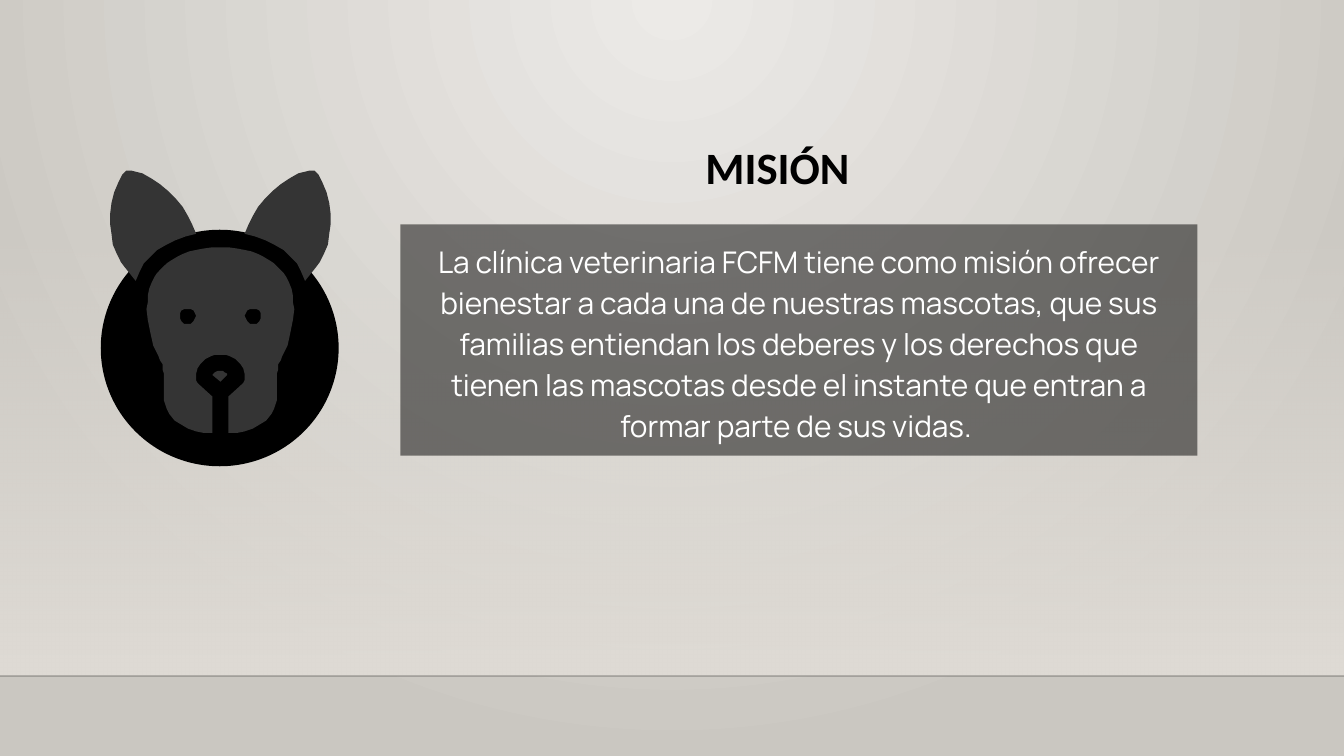
from lxml.etree import SubElement
from pptx import Presentation
from pptx.dml.color import RGBColor
from pptx.enum.shapes import MSO_CONNECTOR, MSO_SHAPE
from pptx.enum.text import MSO_ANCHOR, PP_ALIGN
from pptx.oxml import parse_xml
from pptx.oxml.ns import nsdecls, qn
from pptx.util import Inches, Pt

# Dog outlines in hundredths of an inch; right halves are mirrored
AXIS = 164
LEFT_EAR = [
    (96, 127), (94, 127), (93, 128), (91, 130), (88, 136), (85, 143), (83, 151),
    (82, 159), (82, 167), (83, 174), (84, 182), (87, 189), (90, 195), (93, 199),
    (97, 204), (101, 209), (104, 202), (107, 196), (112, 191), (117, 186),
    (124, 182), (130, 179), (138, 176), (146, 174), (143, 167), (140, 161),
    (136, 154), (131, 148), (125, 142), (119, 137), (113, 133), (106, 129), (98, 127)]
LEFT_EYE = [
    (139, 230), (142, 230), (144, 231), (145, 233), (146, 235), (145, 237),
    (144, 239), (142, 241), (139, 241), (137, 241), (135, 239), (134, 237),
    (134, 235), (134, 233), (135, 231), (137, 230)]
LEFT_FACE = [
    (158, 184), (151, 185), (146, 186), (141, 187), (136, 189), (132, 191),
    (127, 194), (124, 196), (121, 199), (117, 203), (115, 206), (113, 210),
    (111, 215), (110, 220), (110, 225), (109, 230), (110, 238), (112, 248),
    (114, 257), (118, 265), (119, 268), (121, 271), (121, 275), (122, 278),
    (122, 293), (122, 298), (124, 304), (126, 308), (130, 313), (135, 316),
    (140, 319), (146, 321), (151, 322), (158, 322), (158, 295), (147, 285),
    (146, 283), (146, 278), (147, 274), (149, 271), (151, 269), (153, 267),
    (157, 265), (160, 264), (164, 264)]
NOSE = [(162, 276), (160, 277), (159, 278), (158, 279), (164, 284),
        (169, 279), (169, 278), (167, 277), (166, 276)]


def color(hex_string):
    return RGBColor.from_string(hex_string)


def mirror(points):
    return [(2 * AXIS - x, y) for x, y in reversed(points)]


def set_alpha(fill, percent):
    """Give the solid colour of a fill an opacity."""
    solid_color = fill._xPr.find(qn("a:solidFill"))[0]
    SubElement(solid_color, qn("a:alpha")).set("val", str(percent * 1000))


def write_text(shape, text, size, font, hex_color, bold=False, spacing=1.0,
               anchor=MSO_ANCHOR.TOP):
    frame = shape.text_frame
    frame.word_wrap = True
    frame.vertical_anchor = anchor
    frame.margin_left = frame.margin_right = Inches(0.1)
    frame.margin_top = frame.margin_bottom = Inches(0.1)
    paragraph = frame.paragraphs[0]
    paragraph.alignment = PP_ALIGN.CENTER
    paragraph.line_spacing = spacing
    run = paragraph.add_run()
    run.text = text
    run.font.size = Pt(size)
    run.font.name = font
    run.font.bold = bold
    run.font.color.rgb = color(hex_color)


class SlideBuilder:
    black = "000000"
    dark = "343434"
    white = "FFFFFF"
    sand = "DFDBD5"

    def __init__(self, slide):
        self.slide = slide

    def background(self, inner, outer):
        fill = self.slide.background.fill
        fill.gradient()
        for stop, hex_color in zip(fill.gradient_stops, (inner, outer)):
            stop.color.rgb = color(hex_color)
        gradient = fill._xPr.find(qn("a:gradFill"))
        gradient.remove(gradient.find(qn("a:lin")))
        gradient.find(qn("a:gsLst")).addnext(parse_xml(
            f'<a:path {nsdecls("a")} path="circle">'
            '<a:fillToRect l="43000" r="43000" b="100000"/></a:path>'))

    def shape(self, kind, left, top, width, height, fill, opacity=100):
        shape = self.slide.shapes.add_shape(
            kind, Inches(left), Inches(top), Inches(width), Inches(height))
        return self.paint(shape, fill, opacity)

    def paint(self, shape, fill, opacity=100):
        shape.shadow.inherit = False
        shape.line.fill.background()
        shape.fill.solid()
        shape.fill.fore_color.rgb = color(fill)
        if opacity < 100:
            set_alpha(shape.fill, opacity)
        return shape

    def fading_band(self, left, top, width, height):
        """A band that is clear at the top and solid at the bottom."""
        band = self.shape(MSO_SHAPE.RECTANGLE, left, top, width, height, self.sand)
        band.fill.gradient()
        band.fill.gradient_angle = 270
        stops = band.fill.gradient_stops
        for stop in stops:
            stop.color.rgb = color(self.sand)
        clear_color = stops[0]._gs.find(qn("a:srgbClr"))
        SubElement(clear_color, qn("a:alpha")).set("val", "0")

    def line(self, x1, y1, x2, y2, opacity):
        line = self.slide.shapes.add_connector(
            MSO_CONNECTOR.STRAIGHT, Inches(x1), Inches(y1), Inches(x2), Inches(y2))
        line.line.width = Pt(1)
        line.line.color.rgb = color(self.black)
        set_alpha(line.line.fill, opacity)
        SubElement(line._element.spPr, qn("a:effectLst"))

    def outline(self, *contours):
        """One filled freeform; inner contours become holes."""
        first, *others = contours
        builder = self.slide.shapes.build_freeform(*first[0], scale=Inches(0.01))
        builder.add_line_segments(first[1:], close=True)
        for contour in others:
            builder.move_to(*contour[0])
            builder.add_line_segments(contour[1:], close=True)
        self.paint(builder.convert_to_shape(), self.dark)

    def text_box(self, left, top, width, height, text, **style):
        box = self.slide.shapes.add_textbox(
            Inches(left), Inches(top), Inches(width), Inches(height))
        write_text(box, text, **style)


def main():
    # Widescreen page, 16:9
    presentation = Presentation()
    presentation.slide_width = Inches(10)
    presentation.slide_height = Inches(10) * 9 // 16
    slide = presentation.slides.add_slide(presentation.slide_layouts[6])
    builder = SlideBuilder(slide)

    # Backdrop: wall and floor line
    builder.background("ECEAE7", "CAC7C1")
    builder.fading_band(0, 1.66, 10, 3.37)
    builder.line(0, 5.03, 10, 5.03, opacity=20)

    # Dog icon
    builder.shape(MSO_SHAPE.OVAL, 0.75, 1.71, 1.77, 1.76, builder.black)
    builder.outline(NOSE)
    builder.outline(LEFT_FACE + mirror(LEFT_FACE)[1:], LEFT_EYE, mirror(LEFT_EYE))
    builder.outline(mirror(LEFT_EAR))
    builder.outline(LEFT_EAR)

    # Title
    builder.text_box(1.57, 0.95, 8.43, 0.63, "MISIÓN", size=24, font="Calibri",
                     hex_color=builder.black, bold=True, spacing=0.9,
                     anchor=MSO_ANCHOR.MIDDLE)

    # Mission statement
    panel = builder.shape(MSO_SHAPE.RECTANGLE, 2.98, 1.67, 5.93, 1.72,
                          builder.black, opacity=50)
    write_text(panel, "La clínica veterinaria FCFM tiene como misión ofrecer "
               "bienestar a cada una de nuestras mascotas, que sus familias "
               "entiendan los deberes y los derechos que tienen las mascotas "
               "desde el instante que entran a formar parte de sus vidas. ",
               size=16, font="Manrope", hex_color=builder.white, spacing=1.15)

    presentation.save("out.pptx")


if __name__ == "__main__":
    main()
